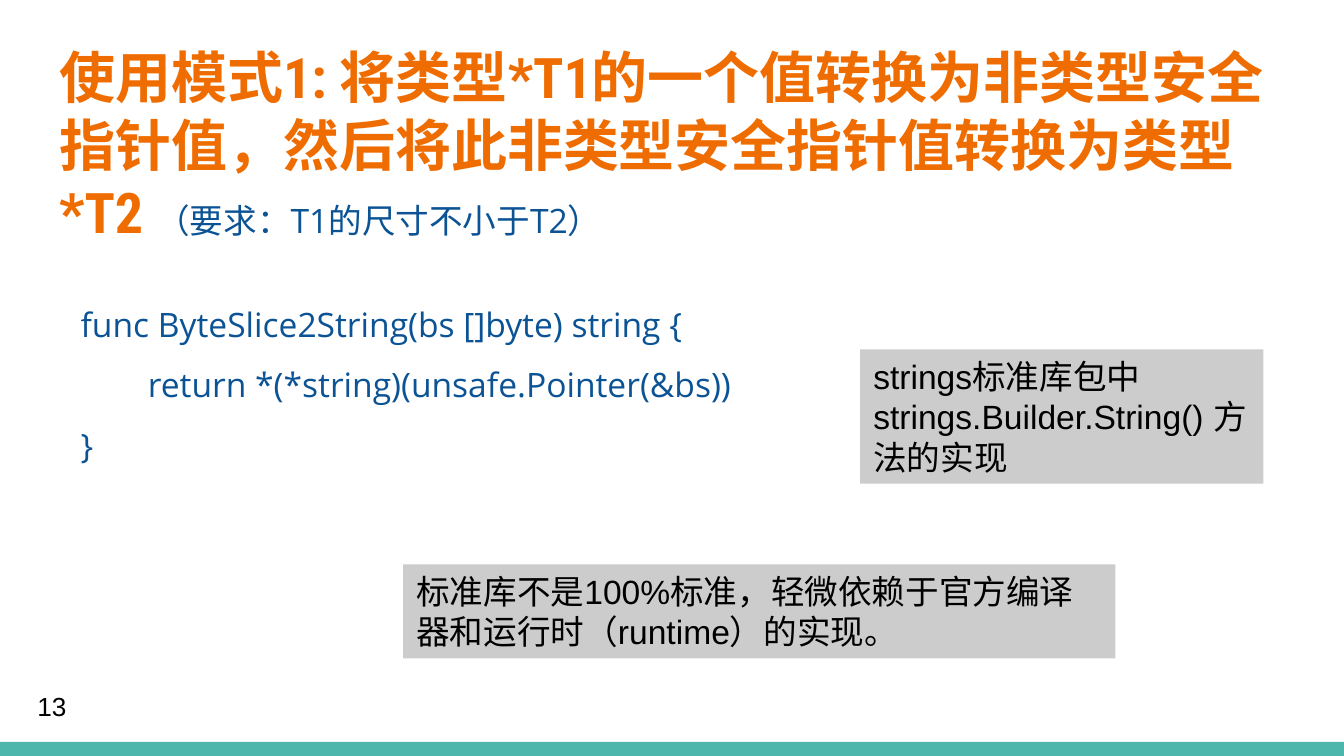
from pptx import Presentation
from pptx import util as u
from pptx.dml.color import RGBColor
from pptx.enum import shapes, text
from pptx.oxml.xmlchemy import OxmlElement

ORANGE = RGBColor(0xEF, 0x6C, 0x00)
BLUE = RGBColor(0x0B, 0x53, 0x94)
TEAL = RGBColor(0x4D, 0xB6, 0xAC)
GRAY = RGBColor(0xCC, 0xCC, 0xCC)
BLACK = RGBColor(0, 0, 0)


def set_font(font, name, size, color, bold=False):
    font.name = name
    font.size = u.Pt(size)
    font.color.rgb = color
    font.bold = bold


def set_frame(shape, box, anchor, vertical_inset=0.1):
    shape.left, shape.top, shape.width, shape.height = map(u.Inches, box)
    frame = shape.text_frame
    frame.word_wrap = True
    frame.auto_size = text.MSO_AUTO_SIZE.NONE
    frame.vertical_anchor = anchor
    frame.margin_left = frame.margin_right = u.Inches(0.1)
    frame.margin_top = frame.margin_bottom = u.Inches(vertical_inset)
    return frame


presentation = Presentation()
presentation.slide_width = u.Inches(10)
presentation.slide_height = u.Inches(10) * 9 // 16
slide = presentation.slides.add_slide(presentation.slide_layouts[1])
title, body = slide.placeholders

frame = set_frame(title, (0.34, 0.22, 9.32, 0.77), text.MSO_ANCHOR.TOP)
paragraph = frame.paragraphs[0]
paragraph.alignment = text.PP_ALIGN.LEFT
heading = paragraph.add_run()
heading.text = "使用模式1: 将类型*T1的一个值转换为非类型安全指针值，然后将此非类型安全指针值转换为类型*T2 "
set_font(heading.font, "Roboto Condensed", 30, ORANGE, True)
requirement = paragraph.add_run()
requirement.text = "（要求：T1的尺寸不小于T2）"
set_font(requirement.font, "Open Sans", 18, BLUE)

frame = set_frame(body, (0.5, 2.01, 9, 3.19), text.MSO_ANCHOR.TOP)
frame.text = """func ByteSlice2String(bs []byte) string {
\treturn *(*string)(unsafe.Pointer(&bs))
}"""
for paragraph in frame.paragraphs:
    paragraph.line_spacing = 1.5
    paragraph.space_before = u.Pt(0)
    set_font(paragraph.font, "Open Sans", 18, BLUE)
    properties = paragraph._p.get_or_add_pPr()
    properties.set("marL", "0")
    properties.set("indent", "0")
    run_defaults = properties.find("{*}defRPr")
    run_defaults.addprevious(OxmlElement("a:buNone"))
    tabs = OxmlElement("a:tabLst")
    tab = OxmlElement("a:tab")
    tab.set("pos", str(u.Inches(1)))
    tab.set("algn", "l")
    tabs.append(tab)
    run_defaults.addprevious(tabs)

number = slide.shapes.add_textbox(0, 0, 0, 0)
frame = set_frame(number, (0.18, 5.04, 0.6, 0.43), text.MSO_ANCHOR.MIDDLE)
frame.text = "13"
set_font(frame.paragraphs[0].font, "Arial", 14, BLACK)

panels = [
    ((0, 5.52, 10, 0.11), TEAL, ""),
    ((6.4, 2.6, 3, 1), GRAY, "strings标准库包中strings.Builder.String() 方法的实现"),
    ((3, 4.2, 5.3, 0.7), GRAY, "标准库不是100%标准，轻微依赖于官方编译器和运行时（runtime）的实现。"),
]
for box, color, note in panels:
    panel = slide.shapes.add_shape(shapes.MSO_SHAPE.RECTANGLE, 0, 0, 0, 0)
    panel.shadow.inherit = False
    panel.fill.solid()
    panel.fill.fore_color.rgb = color
    panel.line.fill.background()
    frame = set_frame(panel, box, text.MSO_ANCHOR.TOP, 0.05)
    if note:
        frame.text = note
        paragraph = frame.paragraphs[0]
        paragraph.alignment = text.PP_ALIGN.LEFT
        set_font(paragraph.font, "Arial", 18, BLACK)

presentation.save("out.pptx")
